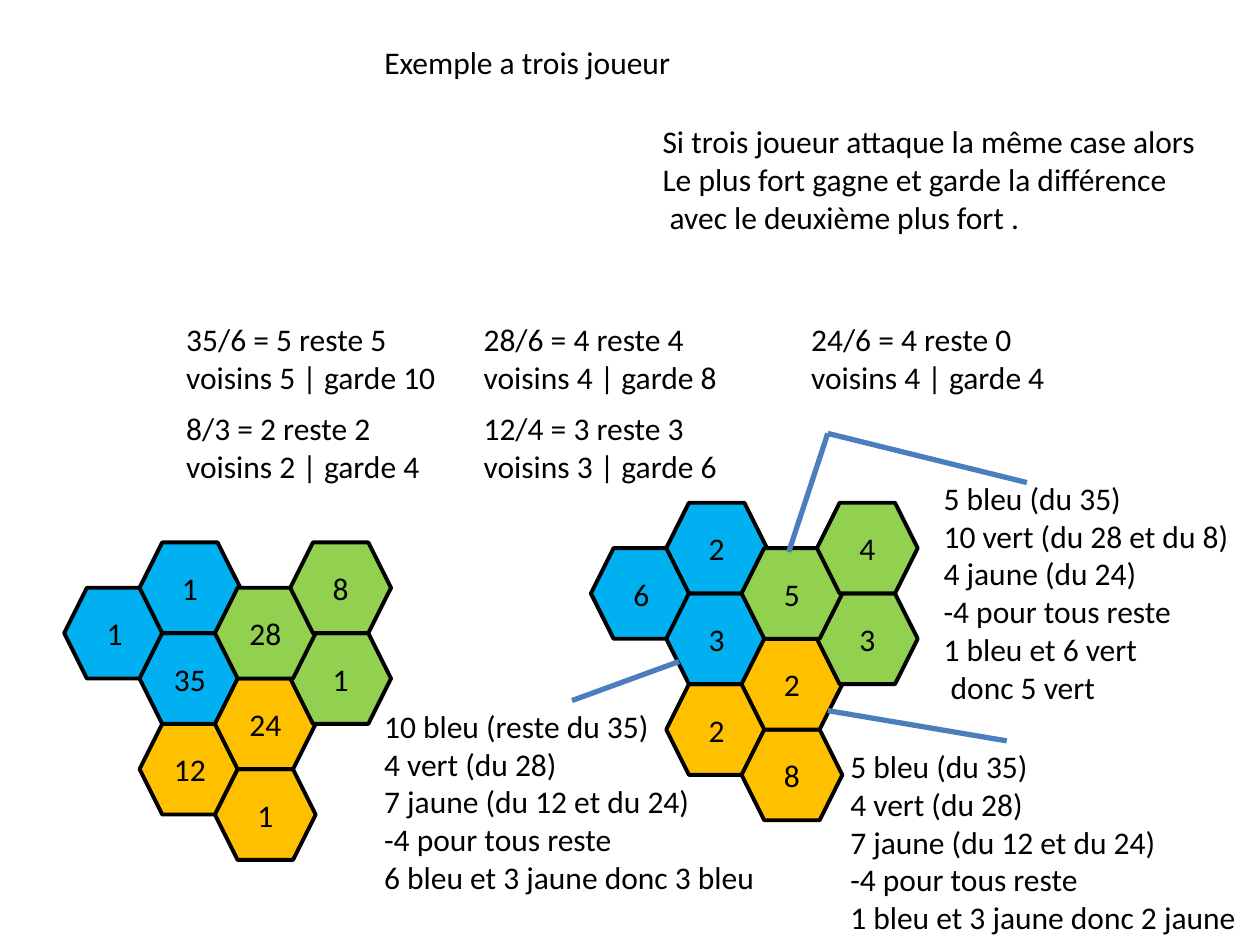
import dataclasses

import pptx
import pptx.dml.color
import pptx.enum.shapes
import pptx.enum.text
import pptx.oxml
import pptx.oxml.ns
import pptx.util

WIDE, HIGH = pptx.util.Inches(10), pptx.util.Inches(7.5)
COLS, ROWS = 100, 75  # slide grid, square cells
HEX_W, HEX_H = 8, 7.2
STEP_X, STEP_Y = 5.98, 3.6  # pitch of hex columns and half rows
FONT, SIZE = "Calibri", pptx.util.Pt(18)
HUES = {
    "black": "000000",
    "blue": "00B0F0",
    "green": "92D050",
    "gold": "FFC000",
    "line": "4B7EBC",
}


@dataclasses.dataclass
class Cell:
    col: int
    half: int  # half rows down from the top of the board
    hue: str


@dataclasses.dataclass
class Board:
    left: float
    top: float
    counts: list[int]


@dataclasses.dataclass
class Note:
    left: float
    top: float
    width: float
    lines: list[str]
    wrap: bool = False


@dataclasses.dataclass
class Link:
    start: tuple[float, float]
    end: tuple[float, float]


CELLS = [
    Cell(1, 4, "gold"), Cell(0, 1, "blue"), Cell(1, 2, "blue"),
    Cell(2, 5, "gold"), Cell(2, 3, "gold"), Cell(3, 2, "green"),
    Cell(1, 0, "blue"), Cell(2, 1, "green"), Cell(3, 0, "green"),
]
BOARDS = [
    Board(5.1, 43.05, [12, 1, 35, 1, 24, 1, 1, 28, 8]),
    Board(46.9, 39.9, [2, 6, 3, 8, 2, 3, 2, 5, 4]),
]
SUM_X, SUM_Y = [13.8, 37.4, 63.4], [24.9, 32]
SUMS = [
    (0, 0, ["35/6 = 5 reste 5", "voisins 5 | garde 10"]),
    (2, 0, ["24/6 = 4 reste 0", "voisins 4 | garde 4"]),
    (1, 0, ["28/6 = 4 reste 4", "voisins 4 | garde 8"]),
    (0, 1, ["8/3 = 2 reste 2", "voisins 2 | garde 4"]),
    (1, 1, ["12/4 = 3 reste 3", "voisins 3 | garde 6"]),
]
SHARED = ["4 vert (du 28)", "7 jaune (du 12 et du 24)", "-4 pour tous reste"]
NOTES = [
    Note(51.6, 9.2, 45.8, [
        "Si trois joueur attaque la même case alors",
        "Le plus fort gagne et garde la différence",
        " avec le deuxième plus fort .",
    ], True),
    *(Note(SUM_X[col], SUM_Y[row], 22, lines, True)
      for col, row, lines in SUMS),
    Note(29.5, 55.6, 31.8, [
        "10 bleu (reste du 35)", *SHARED, "6 bleu et 3 jaune donc 3 bleu",
    ]),
    Note(66.5, 58.8, 33.6, [
        "5 bleu (du 35)", *SHARED, "1 bleu et 3 jaune donc 2 jaune",
    ]),
    Note(73.9, 37.5, 24.9, [
        "5 bleu (du 35)", "10 vert (du 28 et du 8)", "4 jaune (du 24)",
        "-4 pour tous reste", "1 bleu et 6 vert", " donc 5 vert",
    ]),
]
LINKS = [
    Link((53.9, 52.5), (45.4, 55.6)),
    Link((79.9, 58.8), (65.7, 56.4)),
    Link((65.7, 34.4), (62.6, 43.8)),
    Link((81.5, 38.3), (65.7, 34.4)),
]


def across(cols: float) -> int:
    return round(WIDE * cols / COLS)


def down(rows: float) -> int:
    return round(HIGH * rows / ROWS)


def tint(name: str) -> pptx.dml.color.RGBColor:
    return pptx.dml.color.RGBColor.from_string(HUES[name])


def write(frame, lines: list[str], align) -> None:
    for i, line in enumerate(lines):
        para = frame.paragraphs[0] if i == 0 else frame.add_paragraph()
        para.alignment = align
        run = para.add_run()
        run.text = line
        run.font.name, run.font.size = FONT, SIZE
        run.font.color.rgb = tint("black")


def draw_title(slide, text: str) -> None:
    title = slide.shapes.title
    title.left, title.top = across(29.5), down(2.9)
    title.width, title.height = across(25), down(4)
    frame = title.text_frame
    frame.auto_size = pptx.enum.text.MSO_AUTO_SIZE.NONE
    frame.vertical_anchor = pptx.enum.text.MSO_ANCHOR.TOP
    frame.word_wrap = False
    write(frame, [text], pptx.enum.text.PP_ALIGN.LEFT)


def draw_board(slide, board: Board) -> None:
    group = slide.shapes.add_group_shape()
    for cell, count in zip(CELLS, board.counts):
        tile = group.shapes.add_shape(
            pptx.enum.shapes.MSO_SHAPE.HEXAGON,
            across(board.left + cell.col * STEP_X),
            down(board.top + cell.half * STEP_Y),
            across(HEX_W), down(HEX_H))
        tile.shadow.inherit = False
        tile.fill.solid()
        tile.fill.fore_color.rgb = tint(cell.hue)
        tile.line.color.rgb = tint("black")
        tile.line.width = pptx.util.Pt(2.25)
        tile.text_frame.vertical_anchor = pptx.enum.text.MSO_ANCHOR.MIDDLE
        write(tile.text_frame, [str(count)], pptx.enum.text.PP_ALIGN.CENTER)


def draw_note(slide, note: Note) -> None:
    box = slide.shapes.add_textbox(
        across(note.left), down(note.top),
        across(note.width), down(1 + 3.04 * len(note.lines)))
    box.text_frame.word_wrap = note.wrap
    box.text_frame.auto_size = pptx.enum.text.MSO_AUTO_SIZE.SHAPE_TO_FIT_TEXT
    write(box.text_frame, note.lines, pptx.enum.text.PP_ALIGN.LEFT)


def draw_link(slide, link: Link) -> None:
    (x1, y1), (x2, y2) = link.start, link.end
    line = slide.shapes.add_connector(
        pptx.enum.shapes.MSO_CONNECTOR.STRAIGHT,
        across(x1), down(y1), across(x2), down(y2))
    line.line.color.rgb = tint("line")
    line.line.width = pptx.util.Pt(3)
    bare = pptx.oxml.parse_xml(
        f"<a:effectLst {pptx.oxml.ns.nsdecls('a')}/>")
    line._element.spPr.append(bare)


def main() -> None:
    deck = pptx.Presentation()
    deck.slide_width, deck.slide_height = WIDE, HIGH
    slide = deck.slides.add_slide(deck.slide_layouts.get_by_name("Title Only"))
    draw_title(slide, "Exemple a trois joueur")
    for board in BOARDS:
        draw_board(slide, board)
    for note in NOTES:
        draw_note(slide, note)
    for link in LINKS:
        draw_link(slide, link)
    deck.save("out.pptx")


if __name__ == "__main__":
    main()
